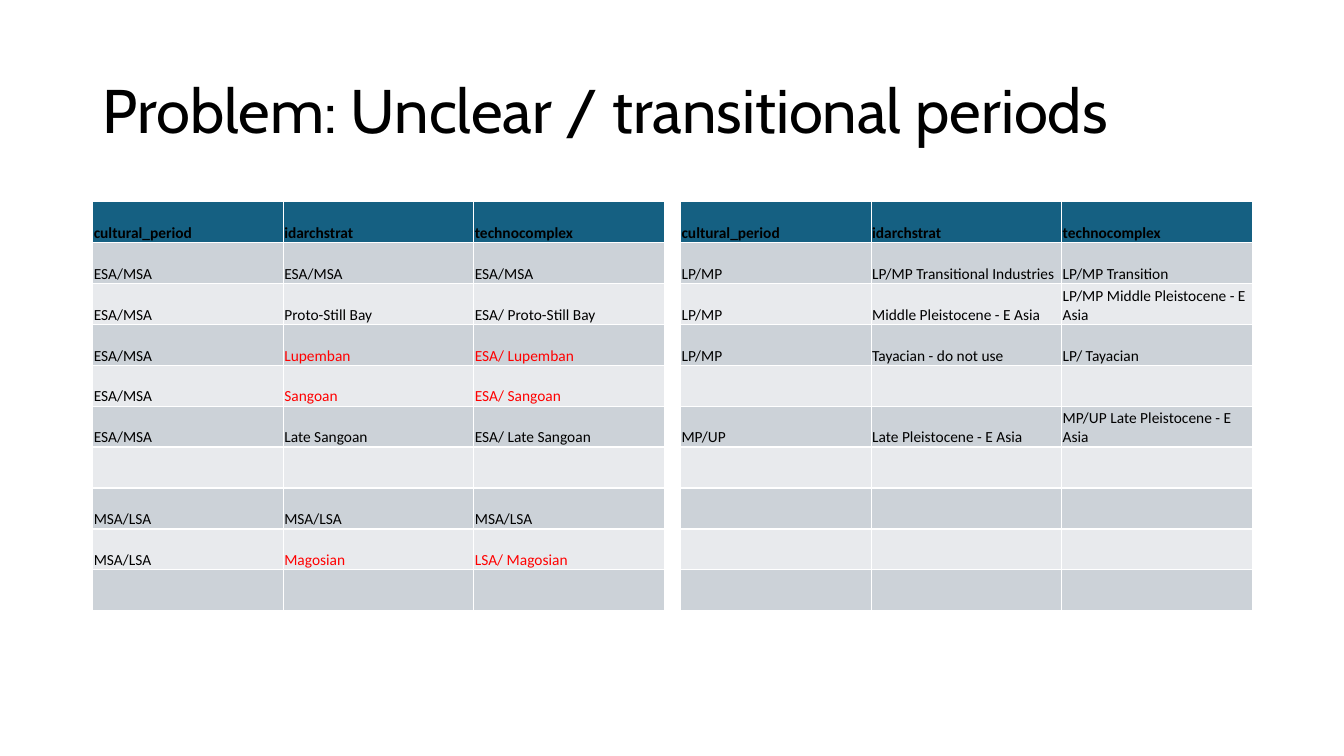
from dataclasses import dataclass

from pptx import Presentation
from pptx.dml.color import RGBColor
from pptx.enum.text import MSO_ANCHOR, PP_ALIGN
from pptx.util import Inches, Pt

LEFT = PP_ALIGN.LEFT
MIDDLE = MSO_ANCHOR.MIDDLE
BOTTOM = MSO_ANCHOR.BOTTOM
TITLE_ONLY = 5


@dataclass(frozen=True)
class Theme:
    title_font: str = "Cabin"
    table_font: str = "Calibri"
    title_size: int = 44
    table_size: int = 11
    ink: str = "000000"
    highlight: str = "FF0000"
    header: str = "156082"
    bands: tuple = ("CCD2D8", "E8EAED")


THEME = Theme()

SLIDE_WIDTH, SLIDE_HEIGHT = 13.33, 7.5
MARGIN = 0.92
TABLE_TOP = 2.0
TABLE_WIDTH, TABLE_HEIGHT = 5.67, 4.06
TABLE_STEP = 5.83
CELL_INSET = 0.01

HEADINGS = ("cultural_period", "idarchstrat", "technocomplex")
EMPTY = ("", "", "")
AFRICAN_PERIODS = (
    HEADINGS,
    ("ESA/MSA", "ESA/MSA", "ESA/MSA"),
    ("ESA/MSA", "Proto-Still Bay", "ESA/ Proto-Still Bay"),
    ("ESA/MSA", "Lupemban", "ESA/ Lupemban"),
    ("ESA/MSA", "Sangoan", "ESA/ Sangoan"),
    ("ESA/MSA", "Late Sangoan", "ESA/ Late Sangoan"),
    EMPTY,
    ("MSA/LSA", "MSA/LSA", "MSA/LSA"),
    ("MSA/LSA", "Magosian", "LSA/ Magosian"),
    EMPTY,
)
EURASIAN_PERIODS = (
    HEADINGS,
    ("LP/MP", "LP/MP Transitional Industries", "LP/MP Transition"),
    ("LP/MP", "Middle Pleistocene - E Asia", "LP/MP Middle Pleistocene - E Asia"),
    ("LP/MP", "Tayacian - do not use", "LP/ Tayacian"),
    EMPTY,
    ("MP/UP", "Late Pleistocene - E Asia", "MP/UP Late Pleistocene - E Asia"),
    EMPTY,
    EMPTY,
    EMPTY,
    EMPTY,
)
UNCLEAR_INDUSTRIES = {"Lupemban", "Sangoan", "Magosian"}


def write_text(frame, text, *, font, size, color, bold=False, line_spacing=None):
    para = frame.paragraphs[0]
    para.alignment = LEFT
    para.line_spacing = line_spacing
    span = para.add_run()
    span.text = text
    span.font.name = font
    span.font.size = Pt(size)
    span.font.bold = bold
    span.font.color.rgb = RGBColor.from_string(color)


def add_title(page, text):
    title = page.shapes.title
    title.left, title.top = Inches(MARGIN), Inches(0.4)
    title.width, title.height = Inches(SLIDE_WIDTH - 2 * MARGIN), Inches(1.45)
    title.text_frame.vertical_anchor = MIDDLE
    write_text(title.text_frame, text, font=THEME.title_font,
               size=THEME.title_size, color=THEME.ink, line_spacing=0.9)


def fill_cell(cell, text, fill, color, bold):
    cell.fill.solid()
    cell.fill.fore_color.rgb = RGBColor.from_string(fill)
    cell.vertical_anchor = BOTTOM
    cell.margin_left = cell.margin_right = cell.margin_top = Inches(CELL_INSET)
    cell.margin_bottom = 0
    if text:
        write_text(cell.text_frame, text, font=THEME.table_font,
                   size=THEME.table_size, color=color, bold=bold)


def add_period_table(page, position, rows):
    """Add a table at the given column position; its style draws the white rules."""
    frame = page.shapes.add_table(
        len(rows), len(HEADINGS),
        Inches(MARGIN + position * TABLE_STEP), Inches(TABLE_TOP),
        Inches(TABLE_WIDTH), Inches(TABLE_HEIGHT))
    for row_index, row in enumerate(rows):
        is_header = row_index == 0
        fill = THEME.header if is_header else THEME.bands[(row_index - 1) % 2]
        for column, text in enumerate(row):
            unclear = column > 0 and row[1] in UNCLEAR_INDUSTRIES
            color = THEME.highlight if unclear else THEME.ink
            fill_cell(frame.table.cell(row_index, column), text, fill, color, is_header)


def main():
    deck = Presentation()
    deck.slide_width, deck.slide_height = Inches(SLIDE_WIDTH), Inches(SLIDE_HEIGHT)
    page = deck.slides.add_slide(deck.slide_layouts[TITLE_ONLY])
    add_title(page, "Problem: Unclear / transitional periods")
    for position, rows in enumerate((AFRICAN_PERIODS, EURASIAN_PERIODS)):
        add_period_table(page, position, rows)
    deck.save("out.pptx")


if __name__ == "__main__":
    main()
